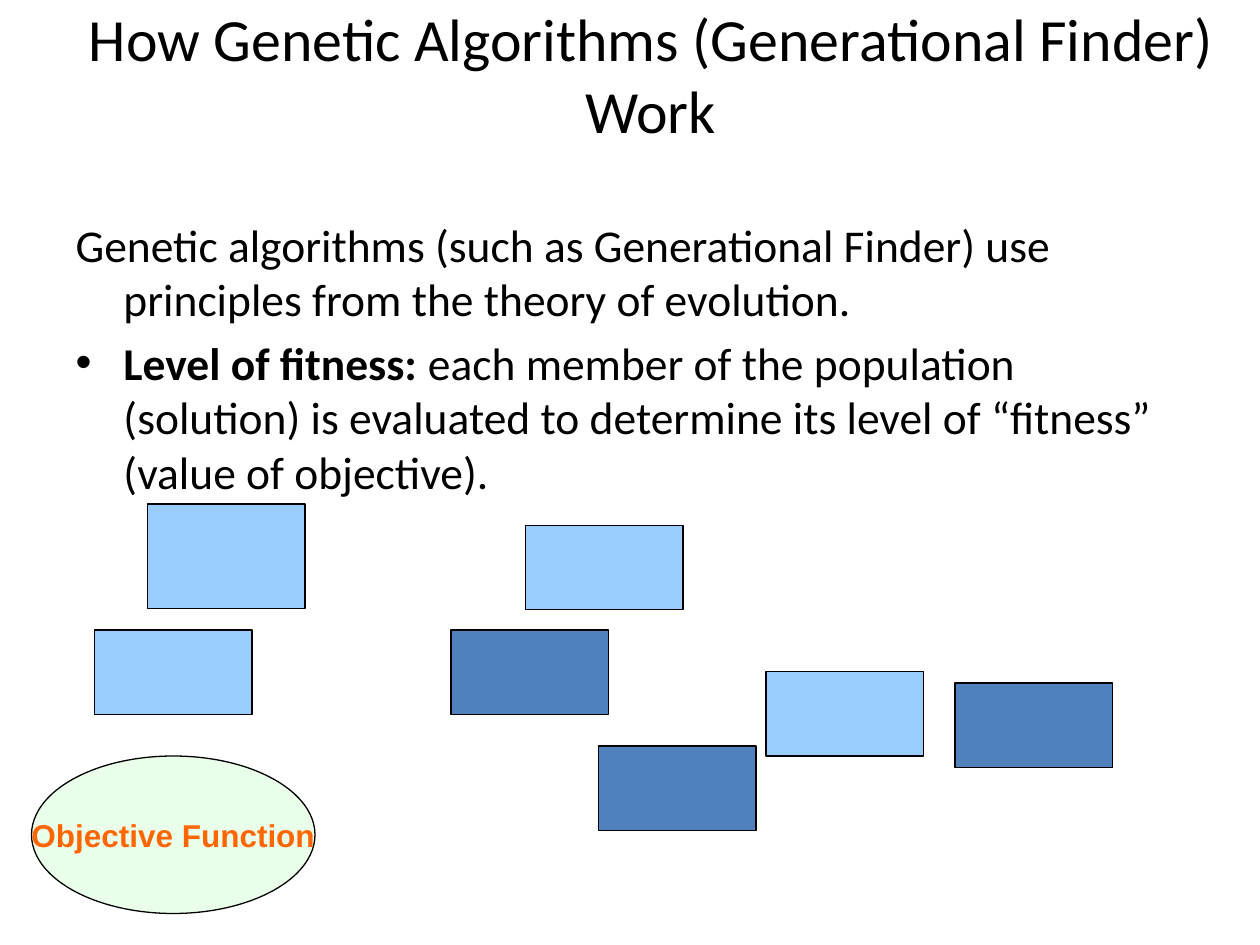
from lxml import etree
from pptx import Presentation
from pptx import util as u
from pptx.dml import color
from pptx.enum import shapes, text
from pptx.oxml import ns

COLORS = {
    "black": "000000",
    "light": "99CCFF",
    "dark": "4F81BD",
    "green": "CCFFCC",
    "orange": "FF6600",
}
MEMBERS = [
    (4.75, 5.92, 0.67, "dark"),
    (3.58, 5, 0.67, "dark"),
    (0.75, 5, 0.67, "light"),
    (1.17, 4, 0.83, "light"),
    (4.17, 4.17, 0.67, "light"),
    (6.08, 5.33, 0.67, "light"),
    (7.58, 5.42, 0.67, "dark"),
]
MEMBER_WIDTH = 1.25


def add_text(paragraph, words, size, font="Calibri", color_name="black", bold=False):
    """Add a formatted run to a paragraph."""
    run = paragraph.add_run()
    run.text = words
    run.font.name = font
    run.font.size = u.Pt(size)
    run.font.bold = bold
    run.font.color.rgb = color.RGBColor.from_string(COLORS[color_name])


def place(shape, box):
    """Move a shape to a box of left, top, width and height in inches."""
    shape.left, shape.top, shape.width, shape.height = map(u.Inches, box)


def add_outlined(slide, kind, box, fill):
    """Add a filled shape with a thin black outline and no shadow."""
    shape = slide.shapes.add_shape(kind, *map(u.Inches, box))
    shape.shadow.inherit = False
    shape.fill.solid()
    shape.fill.fore_color.rgb = color.RGBColor.from_string(COLORS[fill])
    shape.line.color.rgb = color.RGBColor.from_string(COLORS["black"])
    shape.line.width = u.Pt(0.75)
    return shape


def set_bullet(paragraph, character=None):
    """Give a paragraph a hanging indent and an optional bullet."""
    properties = paragraph._p.get_or_add_pPr()
    properties.set("marL", str(u.Inches(0.38)))
    properties.set("indent", str(u.Inches(-0.38)))
    tag = "a:buChar" if character else "a:buNone"
    bullet = etree.SubElement(properties, ns.qn(tag))
    if character:
        bullet.set("char", character)


def add_population(slide, members):
    """Scatter the rectangles that stand for members of the population."""
    for left, top, height, fill in members:
        box = (left, top, MEMBER_WIDTH, height)
        add_outlined(slide, shapes.MSO_SHAPE.RECTANGLE, box, fill)


def fill_title(slide, box):
    """Write the slide title in front of the population."""
    title = slide.shapes.title
    place(title, box)
    slide.shapes._spTree.append(title._element)
    frame = title.text_frame
    frame.auto_size = text.MSO_AUTO_SIZE.NONE
    frame.vertical_anchor = text.MSO_ANCHOR.MIDDLE
    paragraph = frame.paragraphs[0]
    paragraph.alignment = text.PP_ALIGN.CENTER
    add_text(paragraph, "How Genetic Algorithms (Generational Finder) Work", 34.2)


def fill_body(slide, box):
    """Write the introduction and the bullet on fitness."""
    body = slide.placeholders[1]
    place(body, box)
    slide.shapes._spTree.append(body._element)
    frame = body.text_frame
    frame.auto_size = text.MSO_AUTO_SIZE.NONE
    introduction = frame.paragraphs[0]
    set_bullet(introduction)
    introduction.space_before = u.Pt(0)
    add_text(
        introduction,
        "Genetic algorithms (such as Generational Finder) use principles "
        "from the theory of evolution.",
        26,
    )
    fitness = frame.add_paragraph()
    set_bullet(fitness, "•")
    fitness.space_before = u.Pt(5.2)
    add_text(fitness, "Level of fitness: ", 26, bold=True)
    add_text(
        fitness,
        "each member of the population (solution) is evaluated to determine "
        "its level of “fitness” (value of objective).",
        26,
    )


def add_objective(slide, box):
    """Add the translucent ellipse that names the objective function."""
    ellipse = add_outlined(slide, shapes.MSO_SHAPE.OVAL, box, "green")
    fill_color = ellipse._element.spPr.find(".//" + ns.qn("a:srgbClr"))
    etree.SubElement(fill_color, ns.qn("a:alpha"), val="40000")
    frame = ellipse.text_frame
    frame.word_wrap = False
    frame.vertical_anchor = text.MSO_ANCHOR.MIDDLE
    paragraph = frame.paragraphs[0]
    paragraph.alignment = text.PP_ALIGN.CENTER
    add_text(paragraph, "Objective Function", 18, font="Arial",
             color_name="orange", bold=True)


def main():
    """Build and save the slide."""
    presentation = Presentation()
    presentation.slide_width = u.Inches(10)
    presentation.slide_height = u.Inches(7.5)
    slide = presentation.slides.add_slide(presentation.slide_layouts[1])
    add_population(slide, MEMBERS)
    fill_title(slide, (0.33, 0.25, 9.67, 0.67))
    fill_body(slide, (0.5, 1.67, 9, 4.95))
    add_objective(slide, (0.25, 6, 2.25, 1.25))
    presentation.save("out.pptx")


if __name__ == "__main__":
    main()
